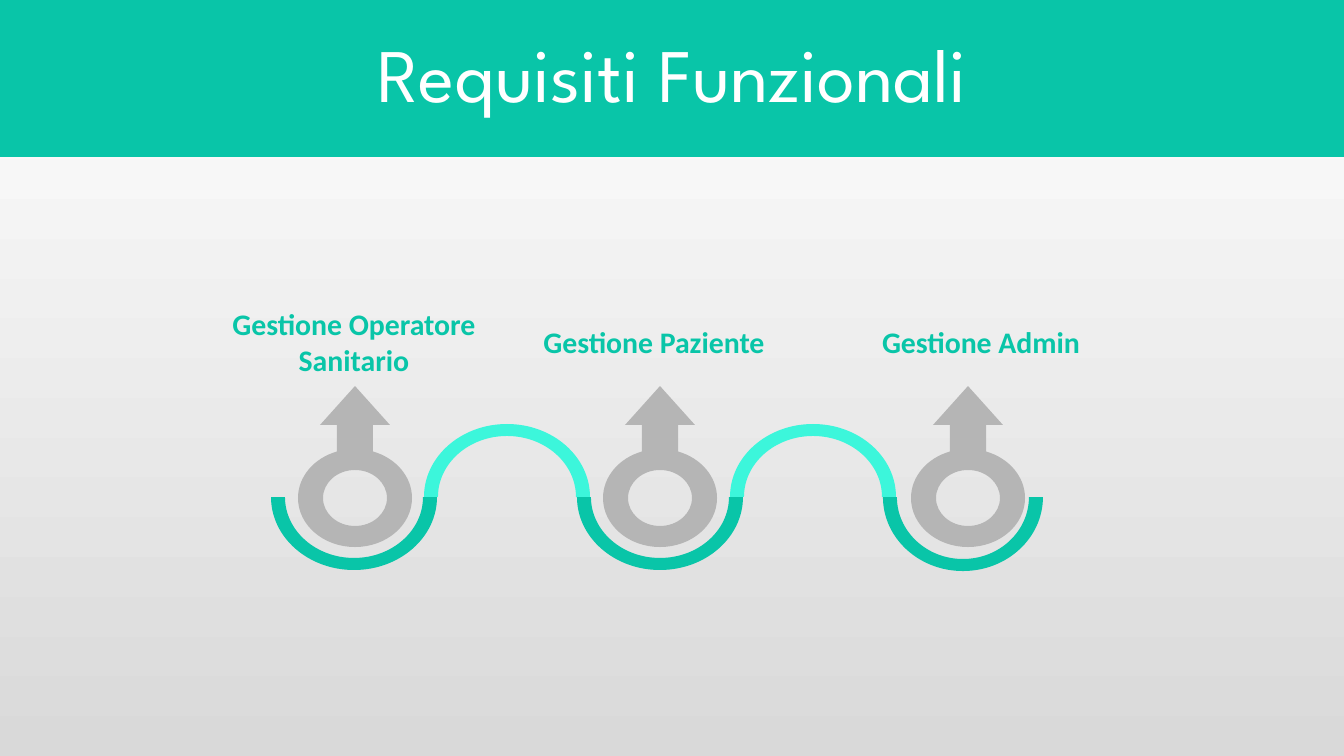
from dataclasses import dataclass
from math import acos, cos, pi, sin, tan

from pptx import Presentation
from pptx.dml.color import RGBColor
from pptx.enum.text import MSO_ANCHOR, MSO_AUTO_SIZE, PP_ALIGN
from pptx.oxml.ns import qn
from pptx.oxml.xmlchemy import OxmlElement
from pptx.util import Pt

MIDDLE = MSO_ANCHOR.MIDDLE
CENTER = PP_ALIGN.CENTER
NO_FIT = MSO_AUTO_SIZE.NONE

TITLE = "Requisiti Funzionali"
LABELS = [
    ("Gestione Operatore Sanitario", 208, 292),
    ("Gestione Paziente", 498, 312),
    ("Gestione Admin", 764, 434),
]
PINS = [355, 660, 968]
CUPS = [(354, 83, 73), (660, 83, 73), (963, 80, 74)]
ARCHES = [(507, 83, 73), (813, 83, 73)]


@dataclass(frozen=True)
class Theme:
    teal: RGBColor = RGBColor.from_string("09C5A8")
    aqua: RGBColor = RGBColor.from_string("3CF6DB")
    gray: RGBColor = RGBColor.from_string("B5B5B5")
    pale: RGBColor = RGBColor.from_string("D9D9D9")
    white: RGBColor = RGBColor.from_string("FFFFFF")
    head: str = "League Spartan"
    body: str = "Calibri"
    big: float = 54
    small: float = 21.3


THEME = Theme()
SCALE = 914400 / 100.8
WIDE, HIGH, BAND = 1344, 756, 157
BASE = 497


def px(n):
    return round(n * SCALE)


def curve(cx, cy, rx, ry, *turns):
    def spot(x, y):
        return cx + rx * x, cy + ry * y

    parts = [(spot(cos(turns[0]), sin(turns[0])),)]
    for a, b in zip(turns, turns[1:]):
        k = 4 / 3 * tan((b - a) / 4)
        parts.append((
            spot(cos(a) - k * sin(a), sin(a) + k * cos(a)),
            spot(cos(b) + k * sin(b), sin(b) - k * cos(b)),
            spot(cos(b), sin(b)),
        ))
    return parts


def bend(shape, parts):
    lines = iter(list(shape._element.iter(qn("a:lnTo"))))
    for part in parts:
        group = [next(lines) for _ in part]
        if len(group) == 3:
            arc = OxmlElement("a:cubicBezTo")
            group[0].addprevious(arc)
            for line in group:
                arc.append(line[0])
                line.getparent().remove(line)


def draw(slide, loops, color):
    pen = None
    for loop in loops:
        dots = [(px(x), px(y)) for part in loop for x, y in part]
        if pen is None:
            pen = slide.shapes.build_freeform(*dots[0], scale=1.0)
        else:
            pen.move_to(*dots[0])
        pen.add_line_segments(dots[1:], close=True)
    shape = pen.convert_to_shape()
    bend(shape, [part for loop in loops for part in loop[1:]])
    shape.shadow.inherit = False
    shape.fill.solid()
    shape.fill.fore_color.rgb = color
    shape.line.fill.background()


def add_arc(slide, cx, rx, ry, side, color):
    turns = [0, side * pi / 2, side * pi]
    outer = curve(cx, BASE, rx, ry, *turns)
    inner = curve(cx, BASE, rx - 14, ry - 12, *turns[::-1])
    draw(slide, [outer + inner], color)


def add_pin(slide, cx):
    cy, rx, ry, stem = 498, 57, 49, 18
    edge = acos(stem / rx)
    ring = curve(cx, cy, rx, ry, -edge, 0, pi / 2, pi, pi + edge)
    arrow = [
        ((cx - stem, 425),), ((cx - 35, 425),), ((cx, 386),),
        ((cx + 35, 425),), ((cx + stem, 425),),
    ]
    hole = curve(cx, cy, 32, 28, 2 * pi, 3 * pi / 2, pi, pi / 2, 0)
    draw(slide, [ring + arrow, hole], THEME.gray)


def set_text(shape, text, face, size, color, bold):
    frame = shape.text_frame
    frame.text = text
    frame.word_wrap = True
    frame.auto_size = NO_FIT
    frame.vertical_anchor = MIDDLE
    para = frame.paragraphs[0]
    para.alignment = CENTER
    font = para.font
    font.name, font.size, font.bold = face, Pt(size), bold
    font.color.rgb = color
    return frame


def add_label(slide, text, left, width):
    box = slide.shapes.add_textbox(px(left), px(318), px(width), px(47))
    frame = set_text(box, text, THEME.body, THEME.small, THEME.teal, True)
    frame.margin_left = frame.margin_right = px(13)
    frame.margin_top = frame.margin_bottom = px(13)


def add_title(slide):
    band = slide.shapes.title
    band.left, band.top = 0, 0
    band.width, band.height = px(WIDE), px(BAND)
    band.fill.solid()
    band.fill.fore_color.rgb = THEME.teal
    frame = set_text(band, TITLE, THEME.head, THEME.big, THEME.white, False)
    frame.paragraphs[0].line_spacing = 0.9


def set_back(slide):
    fill = slide.background.fill
    fill.gradient()
    fill.gradient_angle = 90
    for stop, color in zip(fill.gradient_stops, (THEME.pale, THEME.white)):
        stop.color.rgb = color


def main():
    deck = Presentation()
    deck.slide_width, deck.slide_height = px(WIDE), px(HIGH)
    slide = deck.slides.add_slide(deck.slide_layouts[5])
    set_back(slide)
    add_title(slide)
    for cup in CUPS:
        add_arc(slide, *cup, 1, THEME.teal)
    for arch in ARCHES:
        add_arc(slide, *arch, -1, THEME.aqua)
    for cx, label in zip(PINS, LABELS):
        add_pin(slide, cx)
        add_label(slide, *label)
    deck.save("out.pptx")


if __name__ == "__main__":
    main()
